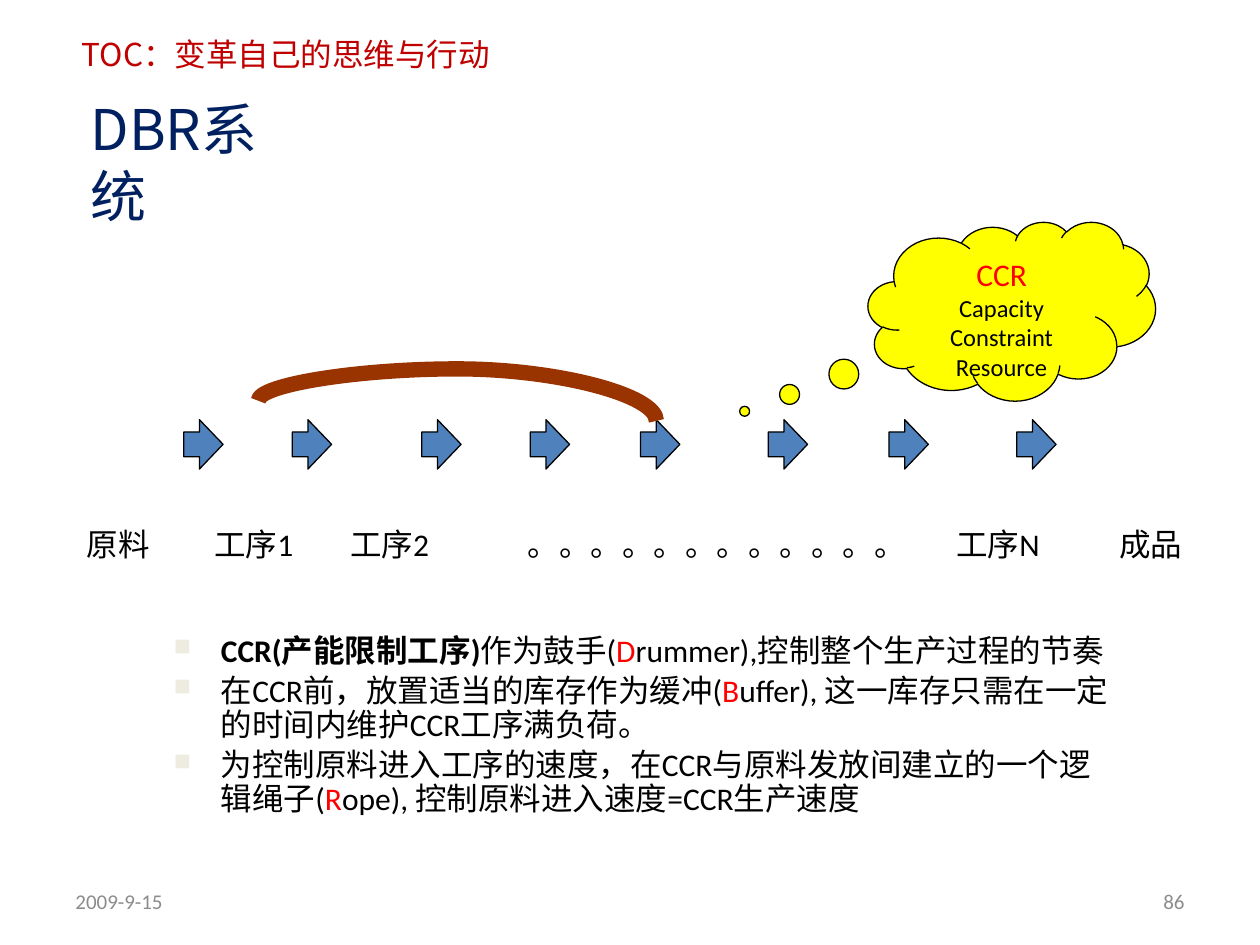
from lxml import etree
from pptx import Presentation
from pptx.dml.color import RGBColor
from pptx.enum.shapes import MSO_CONNECTOR, MSO_SHAPE
from pptx.enum.text import MSO_ANCHOR, PP_ALIGN
from pptx.oxml.ns import qn
from pptx.util import Pt

LEFT, CENTER, RIGHT = PP_ALIGN.LEFT, PP_ALIGN.CENTER, PP_ALIGN.RIGHT
TOP, MIDDLE = MSO_ANCHOR.TOP, MSO_ANCHOR.MIDDLE
ARROW, CLOUD = MSO_SHAPE.RIGHT_ARROW, MSO_SHAPE.CLOUD_CALLOUT
CURVE = MSO_CONNECTOR.CURVE

LATIN, CJK = "Calibri", "Noto Sans CJK SC"
BLACK = RGBColor(0x00, 0x00, 0x00)
RED = RGBColor(0xFF, 0x00, 0x00)
DARK_RED = RGBColor(0xC0, 0x00, 0x00)
NAVY = RGBColor(0x00, 0x20, 0x60)
GRAY = RGBColor(0x8C, 0x8C, 0x8C)
BLUE = RGBColor(0x4F, 0x81, 0xBD)
YELLOW = RGBColor(0xFF, 0xFF, 0x00)
BROWN = RGBColor(0x99, 0x33, 0x00)
BEIGE = RGBColor(0xEE, 0xEC, 0xE1)

LABELS = [
    ("TOC：变革自己的思维与行动", (39.6, 16.56, 258.5, 28.8), 18, CJK, DARK_RED, LEFT, TOP),
    ("2009-9-15", (36, 500.4, 168, 28.8), 12, LATIN, GRAY, LEFT, MIDDLE),
    ("86", (516, 500.4, 168, 28.8), 12, LATIN, GRAY, RIGHT, MIDDLE),
    ("DBR系统", (44.64, 50.4, 127.44, 46), 32, CJK, NAVY, LEFT, TOP),
]
RULES = [
    [("CCR(产能限制工序)", BLACK, True), ("作为鼓手(", BLACK, False), ("D", RED, False),
     ("rummer),控制整个生产过程的节奏", BLACK, False)],
    [("在CCR前，放置适当的库存作为缓冲(", BLACK, False), ("B", RED, False),
     ("uffer), 这一库存只需在一定的时间内维护CCR工序满负荷。", BLACK, False)],
    [("为控制原料进入工序的速度，在CCR与原料发放间建立的一个逻辑绳子(", BLACK, False),
     ("R", RED, False), ("ope), 控制原料进入速度=CCR生产速度", BLACK, False)],
]
STAGES = ["原料", "工序1", "工序2", "。。。。。。。。。。。。", "工序N", "成品"]
STAGE_TABS = [73, 150.5, 252, 497, 590]
ARROW_LEFTS = [105, 167, 241, 303, 366, 439, 508, 581]
CONSTRAINT = [("CCR", 18, RED), ("Capacity Constraint Resource", 14, BLACK)]


def style(run, size, color, font=LATIN, bold=False):
    run.font.size = Pt(size)
    run.font.name = font
    run.font.bold = bold
    run.font.color.rgb = color
    etree.SubElement(run.font._element, qn("a:ea"), typeface=CJK)


def text_frame(box, anchor=TOP):
    frame = slide.shapes.add_textbox(*map(Pt, box)).text_frame
    frame.word_wrap = True
    frame.vertical_anchor = anchor
    return frame


def outlined_shape(kind, box, fill, adjustments):
    shape = slide.shapes.add_shape(kind, *map(Pt, box))
    shape.shadow.inherit = False
    shape.fill.solid()
    shape.fill.fore_color.rgb = fill
    shape.line.color.rgb = BLACK
    shape.line.width = Pt(0.75)
    for index, value in enumerate(adjustments):
        shape.adjustments[index] = value
    return shape


def add_bullet(paragraph):
    properties = paragraph._p.get_or_add_pPr()
    properties.set("marL", str(Pt(27)))
    properties.set("indent", str(-Pt(27)))
    color = etree.SubElement(properties, qn("a:buClr"))
    etree.SubElement(color, qn("a:srgbClr"), val=str(BEIGE))
    etree.SubElement(properties, qn("a:buSzPct"), val="75000")
    etree.SubElement(properties, qn("a:buChar"), char="■")


prs = Presentation()
prs.slide_width, prs.slide_height = Pt(720), Pt(540)
slide = prs.slides.add_slide(prs.slide_layouts[6])

for text, box, size, font, color, align, anchor in LABELS:
    paragraph = text_frame(box, anchor).paragraphs[0]
    paragraph.text = text
    paragraph.alignment = align
    style(paragraph.runs[0], size, color, font)

rules = text_frame((92.16, 359.28, 554.4, 113))
for index, parts in enumerate(RULES):
    paragraph = rules.add_paragraph() if index else rules.paragraphs[0]
    add_bullet(paragraph)
    paragraph.line_spacing = 0.9
    if index:
        paragraph.space_before = Pt(3.6)
    for text, color, bold in parts:
        run = paragraph.add_run()
        run.text = text
        style(run, 18, color, bold=bold)

for left in ARROW_LEFTS:
    outlined_shape(ARROW, (left, 239.8, 22.5, 28.2), BLUE, (0.5, 0.6))

rope = slide.shapes.add_connector(CURVE, Pt(267.1), Pt(121), Pt(255.6), Pt(348.5))
rope.line.color.rgb = BROWN
rope.line.width = Pt(8.75)
rope_properties = rope._element.spPr
rope_properties.find(qn("a:xfrm")).set("rot", str(270 * 60000))
bends = rope_properties.find(qn("a:prstGeom")).find(qn("a:avLst"))
etree.SubElement(bends, qn("a:gd"), name="adj1", fmla="val -158200")
etree.SubElement(rope_properties, qn("a:effectLst"))

stages = text_frame((42.48, 296.64, 640.8, 28.8))
stages.margin_right = 0
stage_line = stages.paragraphs[0]
tab_list = etree.SubElement(stage_line._p.get_or_add_pPr(), qn("a:tabLst"))
for position in STAGE_TABS:
    etree.SubElement(tab_list, qn("a:tab"), pos=str(Pt(position)), algn="l")
stage_line.text = "\t".join(STAGES)
for run in stage_line.runs:
    style(run, 18, BLACK)

cloud = outlined_shape(CLOUD, (496.1, 126.7, 164.2, 102.2), YELLOW, (-0.93, 0.56))
cloud.text_frame.word_wrap = True
cloud.text_frame.vertical_anchor = TOP
cloud.text_frame.text = "\n".join(text for text, _, _ in CONSTRAINT)
for paragraph, (_, size, color) in zip(cloud.text_frame.paragraphs, CONSTRAINT):
    paragraph.alignment = CENTER
    style(paragraph.runs[0], size, color)

prs.save("out.pptx")
